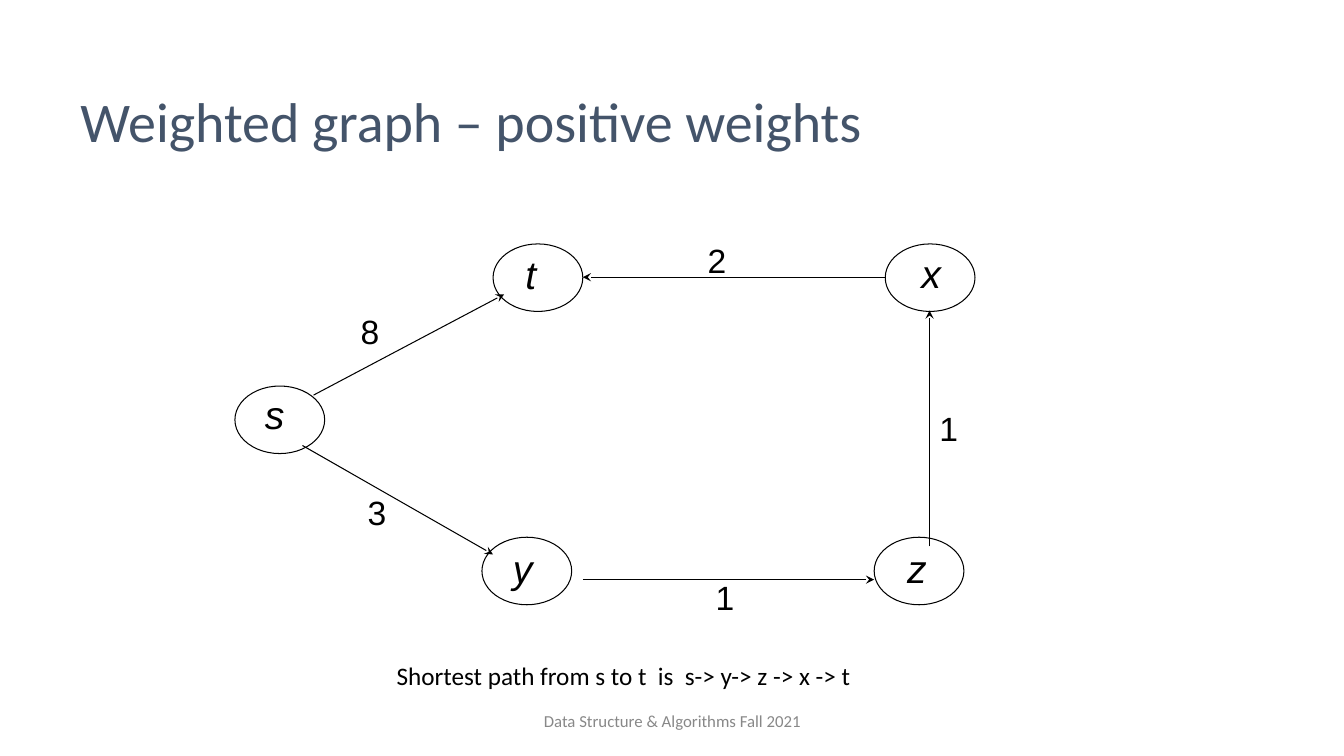
from dataclasses import dataclass

from lxml import etree
from pptx import Presentation
from pptx.dml.color import RGBColor
from pptx.enum.shapes import MSO_CONNECTOR as Connector, MSO_SHAPE as Shape
from pptx.enum.text import MSO_ANCHOR as Anchor, PP_ALIGN as Align
from pptx.oxml.ns import qn
from pptx.util import Inches, Pt

# Content
TITLE = "Weighted graph – positive weights"
CAPTION = "Shortest path from s to t  is  s-> y-> z -> x -> t"
FOOTER = "Data Structure & Algorithms Fall 2021"

# Vertex name: (ellipse left, top), (label left, top, width)
VERTICES = {
    "s": ((2.33, 3.83), (2.46, 3.82, 0.53)),
    "t": ((4.89, 2.42), (5.06, 2.43, 0.41)),
    "y": ((4.78, 5.33), (4.92, 5.35, 0.53)),
    "x": ((8.78, 2.42), (8.97, 2.42, 0.53)),
    "z": ((8.67, 5.33), (8.83, 5.35, 0.53)),
}
# Weight, arrow start, arrow end, label left and top
EDGES = [
    ("3", (3, 4.42), (4.89, 5.5), (3.48, 4.83)),
    ("8", (3.11, 3.92), (5, 2.92), (3.41, 3.04)),
    ("1", (9.22, 5.42), (9.22, 3.08), (9.15, 4)),
    ("1", (5.78, 5.75), (8.67, 5.75), (6.93, 5.67)),
    ("2", (8.78, 2.75), (5.78, 2.75), (6.85, 2.33)),
]
VERTEX_SIZE = (0.89, 0.67)
VERTEX_LABEL_HEIGHT = 0.57
WEIGHT_SIZE = (0.52, 0.5)


@dataclass(frozen=True)
class Theme:
    ink: RGBColor = RGBColor(0, 0, 0)
    title: RGBColor = RGBColor(0x44, 0x54, 0x6A)
    muted: RGBColor = RGBColor(0x88, 0x88, 0x88)
    text_font: str = "Calibri"
    graph_font: str = "Arial"
    title_size: int = 40
    vertex_size: int = 28
    weight_size: int = 24
    caption_size: int = 18
    footer_size: int = 12
    line_width: float = 0.75


THEME = Theme()


def add_text(page, text, place, size, font, color=THEME.ink,
             align=Align.CENTER, anchor=Anchor.TOP, italic=False):
    box = page.shapes.add_textbox(*map(Inches, place))
    frame = box.text_frame
    frame.word_wrap = True
    frame.vertical_anchor = anchor
    frame.text = text
    para = frame.paragraphs[0]
    para.alignment = align
    span = para.runs[0]
    span.font.size = Pt(size)
    span.font.name = font
    span.font.italic = italic
    span.font.color.rgb = color


def style_line(line):
    line.color.rgb = THEME.ink
    line.width = Pt(THEME.line_width)


def add_vertex(page, corner):
    ellipse = page.shapes.add_shape(Shape.OVAL, *map(Inches, corner + VERTEX_SIZE))
    ellipse.shadow.inherit = False
    ellipse.fill.background()
    style_line(ellipse.line)


def add_arrow(page, start, end):
    arrow = page.shapes.add_connector(Connector.STRAIGHT, *map(Inches, start + end))
    style_line(arrow.line)
    properties = arrow.element.spPr
    etree.SubElement(properties.find(qn("a:ln")), qn("a:tailEnd"), type="stealth")
    etree.SubElement(properties, qn("a:effectLst"))


def main():
    deck = Presentation()
    deck.slide_width, deck.slide_height = Inches(13.33), Inches(7.5)
    page = deck.slides.add_slide(deck.slide_layouts[6])

    # Title
    add_text(page, TITLE, (0.7, 0.47, 15.33, 1.45), THEME.title_size,
             THEME.text_font, THEME.title, Align.LEFT, Anchor.MIDDLE)

    # Graph: ellipses and arrows first, labels on top
    for corner, _ in VERTICES.values():
        add_vertex(page, corner)
    for _, start, end, _ in EDGES:
        add_arrow(page, start, end)
    for weight, _, _, corner in EDGES:
        add_text(page, weight, corner + WEIGHT_SIZE, THEME.weight_size, THEME.graph_font)
    for name, (_, place) in VERTICES.items():
        add_text(page, name, place + (VERTEX_LABEL_HEIGHT,), THEME.vertex_size,
                 THEME.graph_font, italic=True)

    # Caption and footer
    add_text(page, CAPTION, (2.7, 6.5, 6.97, 0.4), THEME.caption_size, THEME.text_font)
    add_text(page, FOOTER, (4.42, 6.95, 4.5, 0.4), THEME.footer_size,
             THEME.text_font, THEME.muted, anchor=Anchor.MIDDLE)

    deck.save("out.pptx")


if __name__ == "__main__":
    main()
